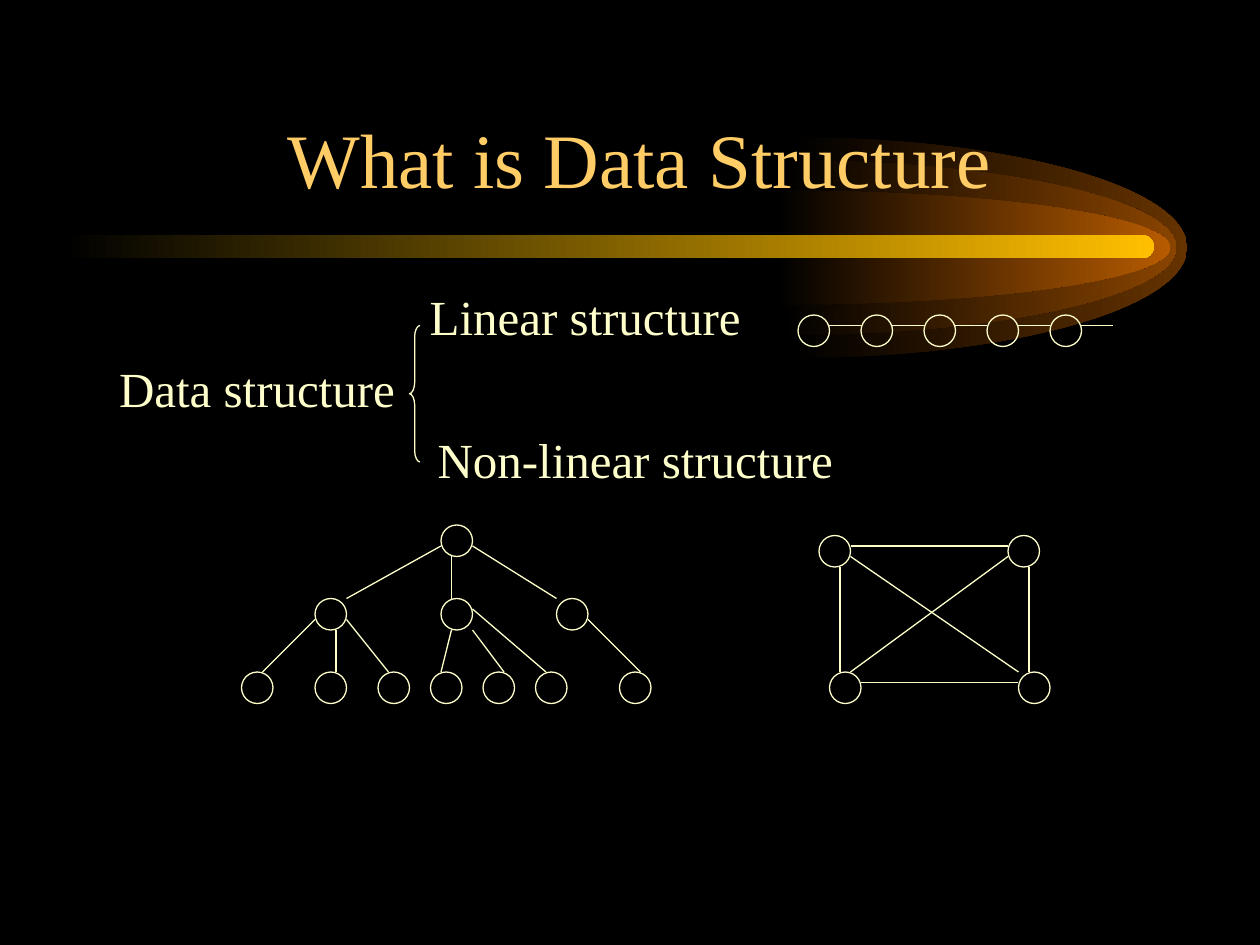
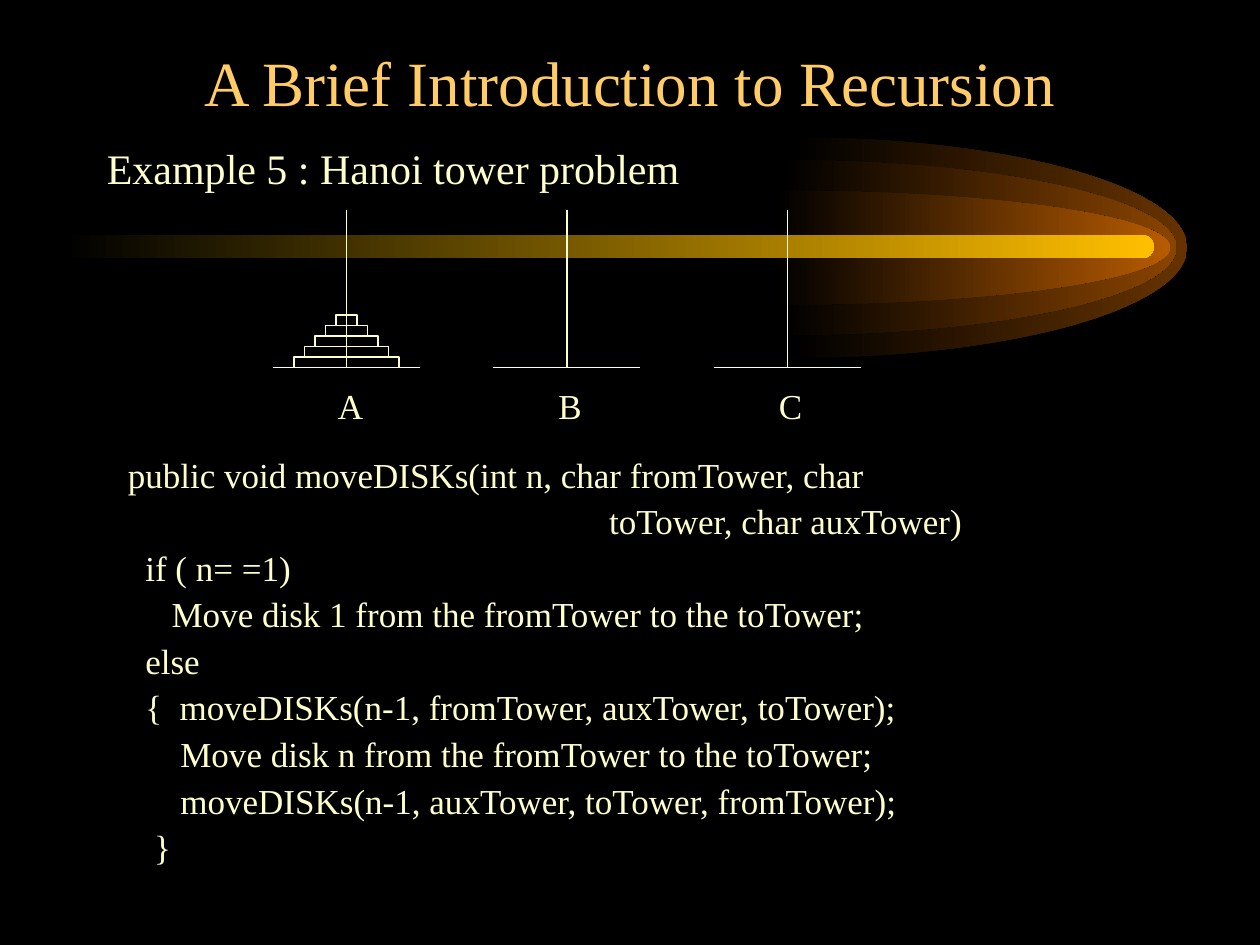
"""Build two slides on data structures and recursion, laid out on a grid of 120 columns by 90 rows."""
import pptx
import pptx.dml.color
import pptx.enum.shapes
import pptx.enum.text
import pptx.oxml.ns
import pptx.util
from lxml import etree

RGBColor = pptx.dml.color.RGBColor
SHAPE = pptx.enum.shapes.MSO_SHAPE
BLACK = RGBColor(0x00, 0x00, 0x00)
CREAM = RGBColor(0xFF, 0xFF, 0xCC)
TITLE_GOLD = RGBColor(0xFF, 0xCC, 0x66)
BAR_GOLD = RGBColor(0xFF, 0xBF, 0x00)
DARK_BROWN = RGBColor(0x66, 0x33, 0x00)
BROWN = RGBColor(0x89, 0x44, 0x00)
ORANGE = RGBColor(0xB7, 0x5B, 0x00)
FONT = "Times New Roman"
LINE_WIDTH = pptx.util.Pt(0.74)
NODE = 3

presentation = pptx.Presentation()
presentation.slide_width = pptx.util.Inches(10)
presentation.slide_height = pptx.util.Inches(7.5)
CELL = presentation.slide_width // 120


def to_emu(lengths):
    return [round(length * CELL) for length in lengths]


def draw_curve(slide, start, segments, close):
    builder = slide.shapes.build_freeform(*to_emu(start), scale=1.0)
    builder.add_line_segments([to_emu(segment[-1]) for segment in segments], close=close)
    shape = builder.convert_to_shape()
    shape.shadow.inherit = False
    steps = list(shape.element.spPr.iter(pptx.oxml.ns.qn("a:lnTo")))
    for step, segment in zip(steps, segments):
        if len(segment) == 3:
            curve = etree.Element(pptx.oxml.ns.qn("a:cubicBezTo"))
            for x, y in map(to_emu, segment):
                etree.SubElement(curve, pptx.oxml.ns.qn("a:pt"),
                                 x=str(x - shape.left), y=str(y - shape.top))
            step.getparent().replace(step, curve)
    return shape


layout = presentation.slide_layouts[5]
for placeholder in list(layout.placeholders)[1:]:
    layout.shapes.element.remove(placeholder.element)
presentation.slide_master.background.fill.solid()
presentation.slide_master.background.fill.fore_color.rgb = BLACK
structure_slide = presentation.slides.add_slide(layout)
recursion_slide = presentation.slides.add_slide(layout)

comet = []
axis, radius, bend = 23.58, 37.56, 0.55
for left, half_height, color in [(75.5, 10.5, DARK_BROWN), (74.5, 8.35, BROWN), (73.9, 5.45, ORANGE)]:
    right, top, bottom = left + radius, axis - half_height, axis + half_height
    shoulder, rise = left + bend * radius, bend * half_height
    comet.append((draw_curve(structure_slide, (left, top), [
        [(shoulder, top), (right, axis - rise), (right, axis)],
        [(right, axis + rise), (shoulder, bottom), (left, bottom)],
        [(left, axis)],
    ], True), color))
bar = structure_slide.shapes.add_shape(SHAPE.ROUNDED_RECTANGLE, *to_emu((6, 22.4, 103.9, 2.2)))
bar.adjustments[0] = 0.5
comet.append((bar, BAR_GOLD))
for number, (shape, color) in enumerate(comet, start=20):
    shape.shadow.inherit = False
    shape.line.fill.background()
    shape.fill.gradient()
    shape.fill.gradient_angle = 0
    for stop, stop_color in zip(shape.fill.gradient_stops, (BLACK, color)):
        stop.color.rgb = stop_color
    shape.element.nvSpPr.cNvPr.set("id", str(number))
    layout.shapes.element.append(shape.element)

titles = [
    (structure_slide, "What is Data Structure", 44, (9.9, 5, 102, 15)),
    (recursion_slide, "A Brief Introduction to Recursion", 36, (9, 2.95, 102, 9)),
]
for slide, text, size, box in titles:
    title = slide.shapes.title
    title.left, title.top, title.width, title.height = to_emu(box)
    frame = title.text_frame
    frame.text = text
    frame.auto_size = pptx.enum.text.MSO_AUTO_SIZE.NONE
    frame.vertical_anchor = pptx.enum.text.MSO_ANCHOR.BOTTOM
    paragraph = frame.paragraphs[0]
    paragraph.alignment = pptx.enum.text.PP_ALIGN.CENTER
    paragraph.font.name = FONT
    paragraph.font.size = pptx.util.Pt(size)
    paragraph.font.color.rgb = TITLE_GOLD

structures = [(184.5, "Linear structure"), (7, "Data structure"), (189, "Non-linear structure")]
code = [
    (0, "public void moveDISKs(int n, char fromTower, char"),
    (275, "toTower, char auxTower)"),
    (10, "if ( n= =1)"),
    (25, "Move disk 1 from the fromTower to the toTower;"),
    (10, "else"),
    (10, "{  moveDISKs(n-1, fromTower, auxTower, toTower);"),
    (30, "Move disk n from the fromTower to the toTower;"),
    (30, "moveDISKs(n-1, auxTower, toTower, fromTower);"),
    (15, "}"),
]
towers = {"A": 33, "B": 54, "C": 75}
texts = [
    (structure_slide, (9, 26.7, 102, 20.3), 28, 7.3, 1.0, structures),
    (recursion_slide, (9, 13, 102, 30), 24, 6, 1.0, [(0, "Example 5 : Hanoi tower problem")]),
    (recursion_slide, (11, 43.04, 103, 40.3), 20, 5, 0.9, code),
]
texts += [(recursion_slide, (center - 2, 36, 7, 5.2), 20, 0, 1.0, [(0, name)])
          for name, center in towers.items()]
for slide, box, size, space_before, line_spacing, lines in texts:
    frame = slide.shapes.add_textbox(*to_emu(box)).text_frame
    frame.word_wrap = True
    frame.text = "\n".join(text for indent, text in lines)
    for paragraph, (indent, text) in zip(frame.paragraphs, lines):
        paragraph.font.name = FONT
        paragraph.font.size = pptx.util.Pt(size)
        paragraph.font.color.rgb = CREAM
        paragraph.space_before = pptx.util.Pt(space_before)
        paragraph.line_spacing = line_spacing
        paragraph._p.get_or_add_pPr().set("marL", str(pptx.util.Pt(indent)))

chain = range(76, 101, 6)
node_rows = {
    30: chain,
    50: [42],
    51: [78, 96],
    57: [30, 42, 53],
    64: [23, 30, 36, 41, 46, 51, 59, 79, 97],
}
outlines = [(structure_slide, SHAPE.OVAL, (column, row, NODE, NODE))
            for row, columns in node_rows.items() for column in columns]
outlines += [(recursion_slide, SHAPE.RECTANGLE,
              (towers["A"] - half_width, 29 + half_width, 2 * half_width, 1))
             for half_width in range(5, 0, -1)]
for slide, kind, box in outlines:
    shape = slide.shapes.add_shape(kind, *to_emu(box))
    shape.shadow.inherit = False
    shape.fill.background()
    shape.line.color.rgb = CREAM
    shape.line.width = LINE_WIDTH

chain_links = [(column + NODE, 31, column + 2 * NODE, 31) for column in chain]
tree_edges = [
    (42, 52, 33, 57), (43, 53, 43, 57), (45, 52, 53, 57),
    (30, 59, 25, 64), (32, 60, 32, 64), (33, 59, 37, 64),
    (43, 60, 42, 64), (45, 60, 48, 64), (45, 58, 52, 64), (56, 59, 61, 64),
]
graph_edges = [
    (81, 52, 96, 52), (82, 65, 97, 65), (80, 54, 80, 64),
    (98, 54, 98, 64), (96, 53, 81, 64), (81, 53, 97, 64),
]
bases = [(center - 7, 35, center + 7, 35) for center in towers.values()]
poles = [(center, 20, center, 35) for center in towers.values()]
drawings = [(structure_slide, chain_links + tree_edges + graph_edges), (recursion_slide, bases + poles)]
for slide, edges in drawings:
    for edge in edges:
        line = slide.shapes.add_connector(pptx.enum.shapes.MSO_CONNECTOR.STRAIGHT, *to_emu(edge))
        line.line.color.rgb = CREAM
        line.line.width = LINE_WIDTH
        etree.SubElement(line.element.spPr, pptx.oxml.ns.qn("a:effectLst"))

brace = draw_curve(structure_slide, (40, 31), [
    [(39.75, 31), (39.5, 31.5), (39.5, 32)],
    [(39.5, 36.4)],
    [(39.5, 37), (39.25, 37.5), (39, 37.5)],
    [(39.25, 37.5), (39.5, 38), (39.5, 38.6)],
    [(39.5, 43)],
    [(39.5, 43.5), (39.75, 44), (40, 44)],
], False)
brace.fill.background()
brace.line.color.rgb = CREAM
brace.line.width = LINE_WIDTH

presentation.save("out.pptx")
